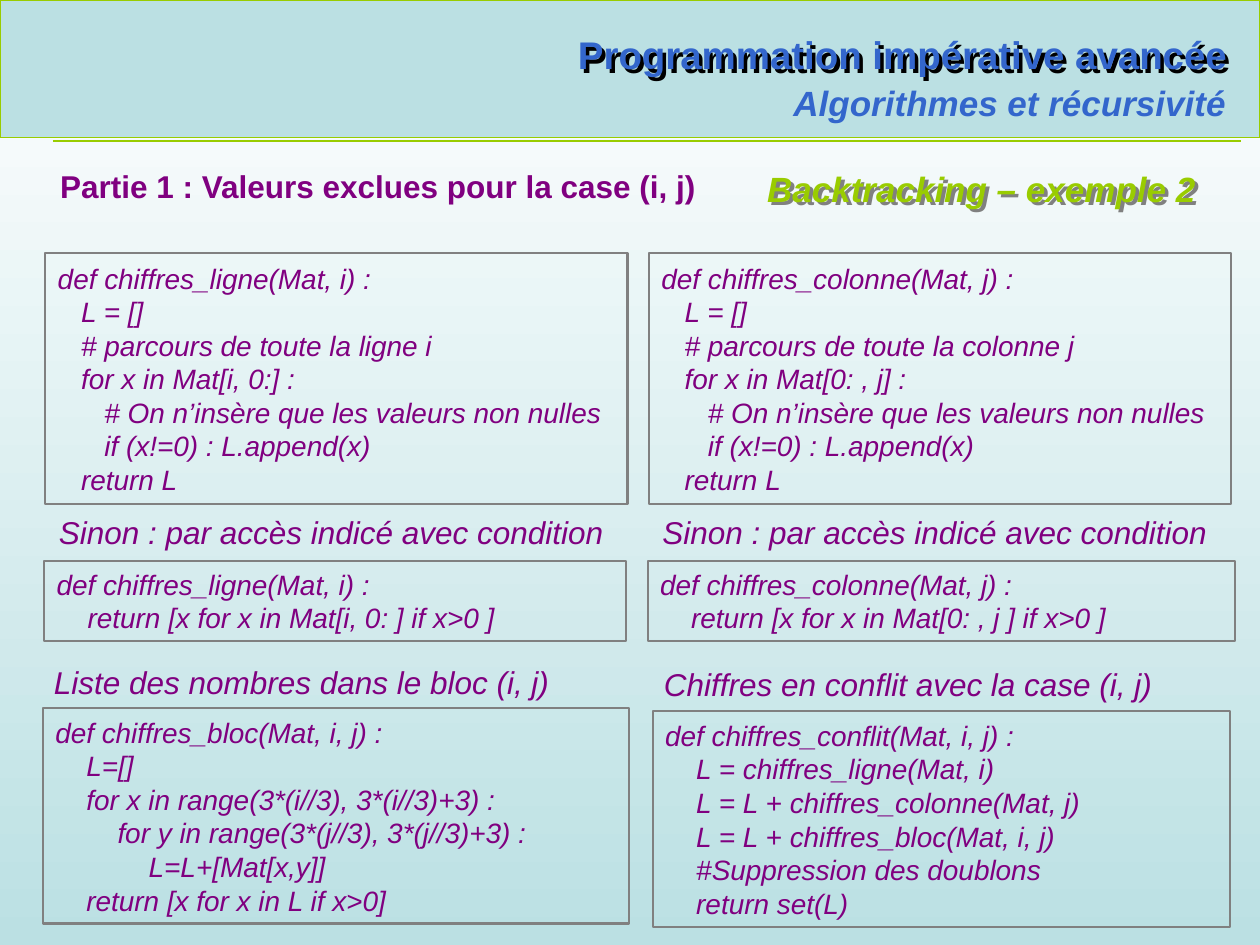
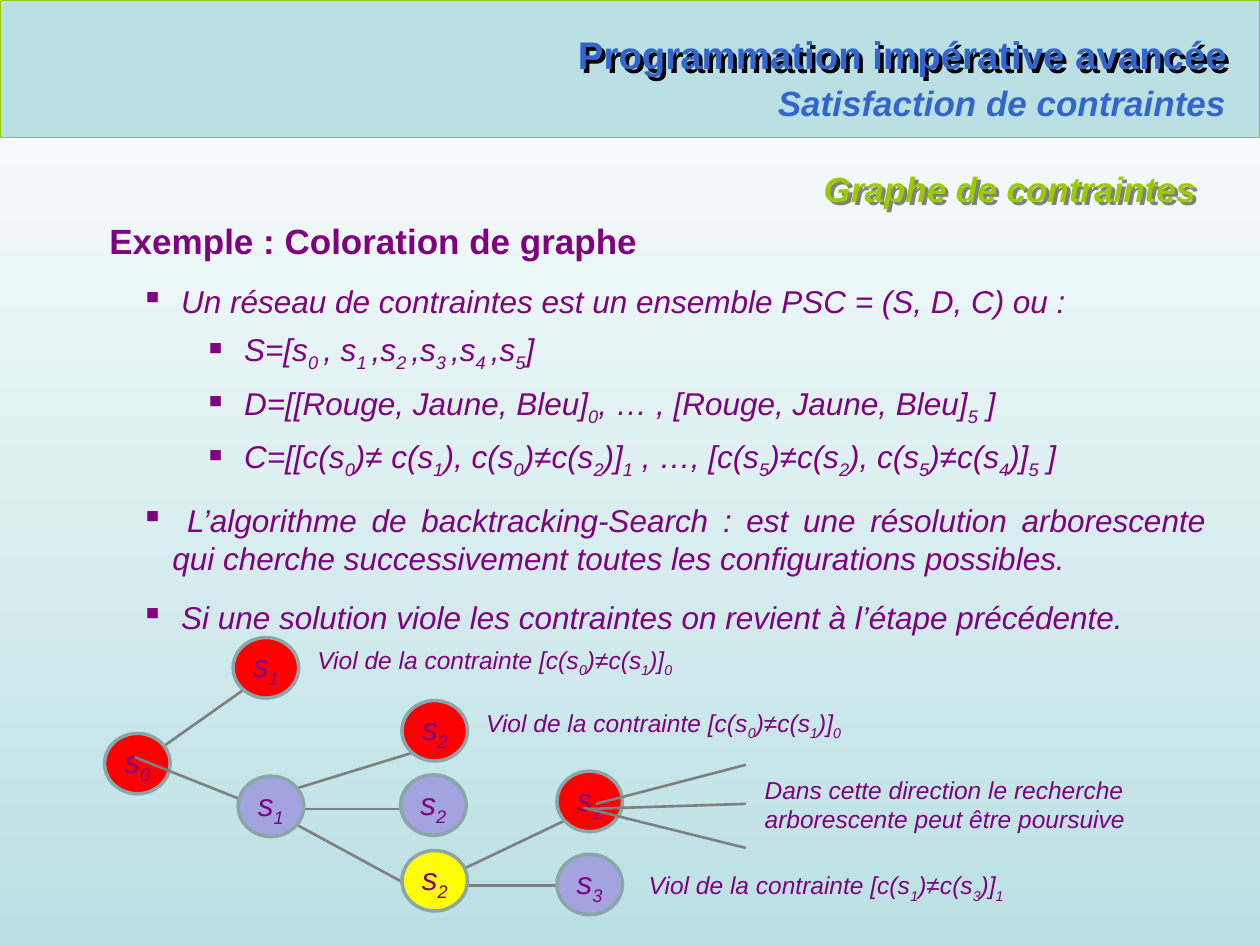
from lxml.etree import SubElement
from pptx import Presentation
from pptx.dml.color import RGBColor
from pptx.enum.shapes import MSO_CONNECTOR, MSO_SHAPE
from pptx.enum.text import MSO_ANCHOR, MSO_AUTO_SIZE, PP_ALIGN
from pptx.oxml.ns import qn
from pptx.util import Pt

PX = 9144  # 100 px to the inch
FONT = "Arial"
WHITE, PALE, GREEN, BLUE = "FFFFFF", "BBE0E3", "99CC00", "3366CC"
PURPLE, GREY, BLACK = "800080", "808080", "000000"
RED, YELLOW, LILAC, NODE_EDGE = "FF0000", "FFFF00", "A3A3E0", "8AA6A8"
CODE_SIZE = 16
SPACE_WIDTH = CODE_SIZE * 0.278 / 72 * 100  # one space of code, in px
NODE_WIDTH, NODE_HEIGHT = 52, 48


def px(length):
    return round(length * PX)


def rgb(color):
    return RGBColor.from_string(color)


class Deck:
    """Holds the shared style and the slide being built."""

    def __init__(self):
        self.presentation = Presentation()
        self.presentation.slide_width = px(1000)
        self.presentation.slide_height = px(750)
        self.slide = None
        fill = self.presentation.slide_master.background.fill
        fill.gradient()
        fill.gradient_angle = 270
        for stop, color in zip(fill.gradient_stops, (WHITE, PALE)):
            stop.color.rgb = rgb(color)

    def start_slide(self, chapter, topic, rule):
        """Add a slide with its band, course title, chapter, rule and topic."""
        layout = self.presentation.slide_layouts[5]
        self.slide = self.presentation.slides.add_slide(layout)
        title = self.slide.shapes.title
        band = self.shape(MSO_SHAPE.RECTANGLE, (0, 0, 1000, 109), PALE, GREEN, 0.75)
        title.element.addprevious(band.element)
        title.left, title.top, title.width, title.height = map(px, (442, 20, 542, 47))
        self.prepare(title.text_frame)
        self.add_runs(title.text_frame.paragraphs[0], "Programmation impérative avancée",
                      22, BLUE, bold=True, italic=False, align=PP_ALIGN.RIGHT)
        self.shadow(title, BLACK)
        self.text((600, 60, 383, 44), [chapter], 20, BLUE, bold=True,
                  align=PP_ALIGN.RIGHT)
        self.line(*rule, GREEN, 0.75)
        heading = self.text((539, 128, 420, 44), [topic], 20, GREEN, bold=True,
                            align=PP_ALIGN.RIGHT)
        self.shadow(heading, GREY)

    def prepare(self, frame, anchor=MSO_ANCHOR.TOP):
        frame.word_wrap = True
        frame.auto_size = MSO_AUTO_SIZE.NONE
        frame.vertical_anchor = anchor

    def add_runs(self, paragraph, text, size, color=PURPLE, bold=False, italic=True,
                 align=PP_ALIGN.LEFT):
        """Add text run by run; parts between tildes are subscripts."""
        paragraph.alignment = align
        for index, part in enumerate(text.split("~")):
            if not part:
                continue
            run = paragraph.add_run()
            run.text = part
            font = run.font
            font.name, font.size = FONT, Pt(size)
            font.bold, font.italic = bold, italic
            font.color.rgb = rgb(color)
            if index % 2:
                run._r.get_or_add_rPr().set("baseline", "-25000")

    def paragraphs(self, frame, count):
        return [frame.paragraphs[0]] + [frame.add_paragraph() for _ in range(count - 1)]

    def text(self, box, lines, size, color=PURPLE, **style):
        text_box = self.slide.shapes.add_textbox(*map(px, box))
        frame = text_box.text_frame
        self.prepare(frame)
        for paragraph, line in zip(self.paragraphs(frame, len(lines)), lines):
            self.add_runs(paragraph, line, size, color, **style)
        return text_box

    def outline(self, box, heading, items):
        """Add a bold heading and bulleted items given as (level, space after, text)."""
        frame = self.text(box, [heading], 20, bold=True, italic=False,
                          align=PP_ALIGN.JUSTIFY).text_frame
        frame.paragraphs[0].space_after = Pt(12)
        for level, space_after, text in items:
            paragraph = frame.add_paragraph()
            paragraph.level = level
            paragraph.space_after = Pt(space_after)
            self.add_runs(paragraph, text, 18, align=PP_ALIGN.JUSTIFY)
            self.indent(paragraph, 50 * level, -25)
            bullet = SubElement(paragraph._p.get_or_add_pPr(), qn("a:buChar"))
            bullet.set("char", "▪")

    def indent(self, paragraph, margin, first_line=0):
        properties = paragraph._p.get_or_add_pPr()
        properties.set("marL", str(px(margin)))
        properties.set("indent", str(px(first_line)))

    def shape(self, kind, box, fill, edge, edge_width):
        shape = self.slide.shapes.add_shape(kind, *map(px, box))
        shape.shadow.inherit = False
        if fill:
            shape.fill.solid()
            shape.fill.fore_color.rgb = rgb(fill)
        else:
            shape.fill.background()
        shape.line.color.rgb = rgb(edge)
        shape.line.width = Pt(edge_width)
        return shape

    def code(self, box, source):
        """Add a framed listing whose leading spaces become indents."""
        frame = self.shape(MSO_SHAPE.RECTANGLE, box, None, GREY, 1.25).text_frame
        self.prepare(frame, MSO_ANCHOR.MIDDLE)
        lines = source.strip().splitlines()
        for paragraph, line in zip(self.paragraphs(frame, len(lines)), lines):
            statement = line.lstrip()
            self.add_runs(paragraph, statement, CODE_SIZE)
            self.indent(paragraph, (len(line) - len(statement)) * SPACE_WIDTH)

    def node(self, left, top, fill, label):
        box = (left, top, NODE_WIDTH, NODE_HEIGHT)
        frame = self.shape(MSO_SHAPE.OVAL, box, fill, NODE_EDGE, 2).text_frame
        self.prepare(frame, MSO_ANCHOR.MIDDLE)
        frame.margin_left = frame.margin_right = 0
        frame.margin_top = frame.margin_bottom = 0
        self.add_runs(frame.paragraphs[0], label, 18, align=PP_ALIGN.CENTER)

    def line(self, start, end, color=GREY, width=1.5):
        connector = self.slide.shapes.add_connector(
            MSO_CONNECTOR.STRAIGHT, *map(px, start + end))
        connector.line.color.rgb = rgb(color)
        connector.line.width = Pt(width)
        SubElement(connector.element.spPr, qn("a:effectLst"))

    def shadow(self, shape, color):
        """Cast a hard shadow to the lower right of the text."""
        shape.fill.background()
        effects = SubElement(shape.element.spPr, qn("a:effectLst"))
        outer = SubElement(effects, qn("a:outerShdw"), dist="35921", dir="2700000",
                           algn="ctr", rotWithShape="0")
        SubElement(outer, qn("a:srgbClr"), val=color)


ACCESS_LISTING = """
def chiffres_{name}(Mat, {index}) :
   L = []
   # parcours de toute la {name} {index}
   for x in Mat[{cells}] :
      # On n’insère que les valeurs non nulles
      if (x!=0) : L.append(x)
   return L
"""
SHORT_LISTING = """
def chiffres_{name}(Mat, {index}) :
    return [x for x in Mat[{short_cells}] if x>0 ]
"""
BLOCK_LISTING = """
def chiffres_bloc(Mat, i, j) :
    L=[]
    for x in range(3*(i//3), 3*(i//3)+3) :
        for y in range(3*(j//3), 3*(j//3)+3) :
            L=L+[Mat[x,y]]
    return [x for x in L if x>0]
"""
CONFLICT_LISTING = """
def chiffres_conflit(Mat, i, j) :
    L = chiffres_ligne(Mat, i)
    L = L + chiffres_colonne(Mat, j)
    L = L + chiffres_bloc(Mat, i, j)
    #Suppression des doublons
    return set(L)
"""


def build_backtracking(deck):
    deck.start_slide("Algorithmes et récursivité", "Backtracking – exemple 2",
                     ((42, 112), (985, 112)))
    deck.text((38, 128, 530, 40), ["Partie 1 : Valeurs exclues pour la case (i, j)"],
              18, bold=True, italic=False)
    columns = [
        (36, 462, dict(name="ligne", index="i", cells="i, 0:", short_cells="i, 0: ")),
        (515, 466, dict(name="colonne", index="j", cells="0: , j", short_cells="0: , j ")),
    ]
    for left, short_width, names in columns:
        deck.code((left, 201, 462, 199), ACCESS_LISTING.format(**names))
        deck.text((left + 1, 402, 463, 40),
                  ["Sinon : par accès indicé avec condition"], 18)
        deck.code((left - 1, 445, short_width, 64), SHORT_LISTING.format(**names))
    deck.text((33, 521, 434, 40), ["Liste des nombres dans le bloc (i, j)"], 18)
    deck.code((34, 562, 465, 171), BLOCK_LISTING)
    deck.text((517, 523, 411, 40), ["Chiffres en conflit avec la case (i, j)"], 18)
    deck.code((518, 564, 458, 172), CONFLICT_LISTING)


def build_constraint_graph(deck):
    deck.start_slide("Satisfaction de contraintes", "Graphe de contraintes",
                     ((34, 109), (976, 109)))
    deck.outline((77, 169, 890, 332), "Exemple : Coloration de graphe", [
        (1, 6, " Un réseau de contraintes est un ensemble PSC = (S, D, C) ou :"),
        (2, 6, " S=[s~0 ~, s~1 ~,s~2 ~,s~3 ~,s~4 ~,s~5~]"),
        (2, 6, " D=[[Rouge, Jaune, Bleu]~0~, … , [Rouge, Jaune, Bleu]~5~ ]"),
        (2, 12, " C=[[c(s~0~)≠ c(s~1~), c(s~0~)≠c(s~2~)]~1~ , …, "
                "[c(s~5~)≠c(s~2~), c(s~5~)≠c(s~4~)]~5~ ]"),
        (1, 12, " L’algorithme de backtracking-Search : est une résolution arborescente "
                "qui cherche successivement toutes les configurations possibles."),
        (1, 12, " Si une solution viole les contraintes on revient à l’étape précédente."),
    ])

    branches = [
        ((474, 639), (344, 701)), ((215, 642), (344, 642)), ((211, 535), (109, 607)),
        ((474, 703), (344, 703)), ((216, 644), (345, 714)), ((215, 632), (345, 592)),
    ]
    for start, end in branches:
        deck.line(start, end)
    deck.node(83, 582, RED, "s~0~")
    deck.line((215, 644), (107, 601))
    nodes = [
        (189, 616, LILAC, 1), (319, 556, RED, 2), (319, 675, YELLOW, 2),
        (442, 678, LILAC, 3), (185, 506, RED, 1), (318, 615, LILAC, 2),
        (442, 612, RED, 2),
    ]
    for left, top, color, number in nodes:
        deck.node(left, top, color, f"s~{number}~")
    for start, end in [((592, 607), (473, 638)), ((592, 638), (468, 642)),
                       ((592, 673), (463, 641))]:
        deck.line(start, end)

    violations = [(242, 507, 0, 1, 0), (376, 557, 0, 1, 0), (505, 686, 1, 3, 1)]
    for left, top, first, second, rank in violations:
        label = f"Viol de la contrainte [c(s~{first}~)≠c(s~{second}~)]~{rank}~"
        deck.text((left, top, 306, 34), [label], 14)
    deck.text((597, 610, 312, 57), ["Dans cette direction le recherche",
                                    "arborescente peut être poursuive"], 14)


def main():
    deck = Deck()
    build_backtracking(deck)
    build_constraint_graph(deck)
    deck.presentation.save("out.pptx")


if __name__ == "__main__":
    main()
